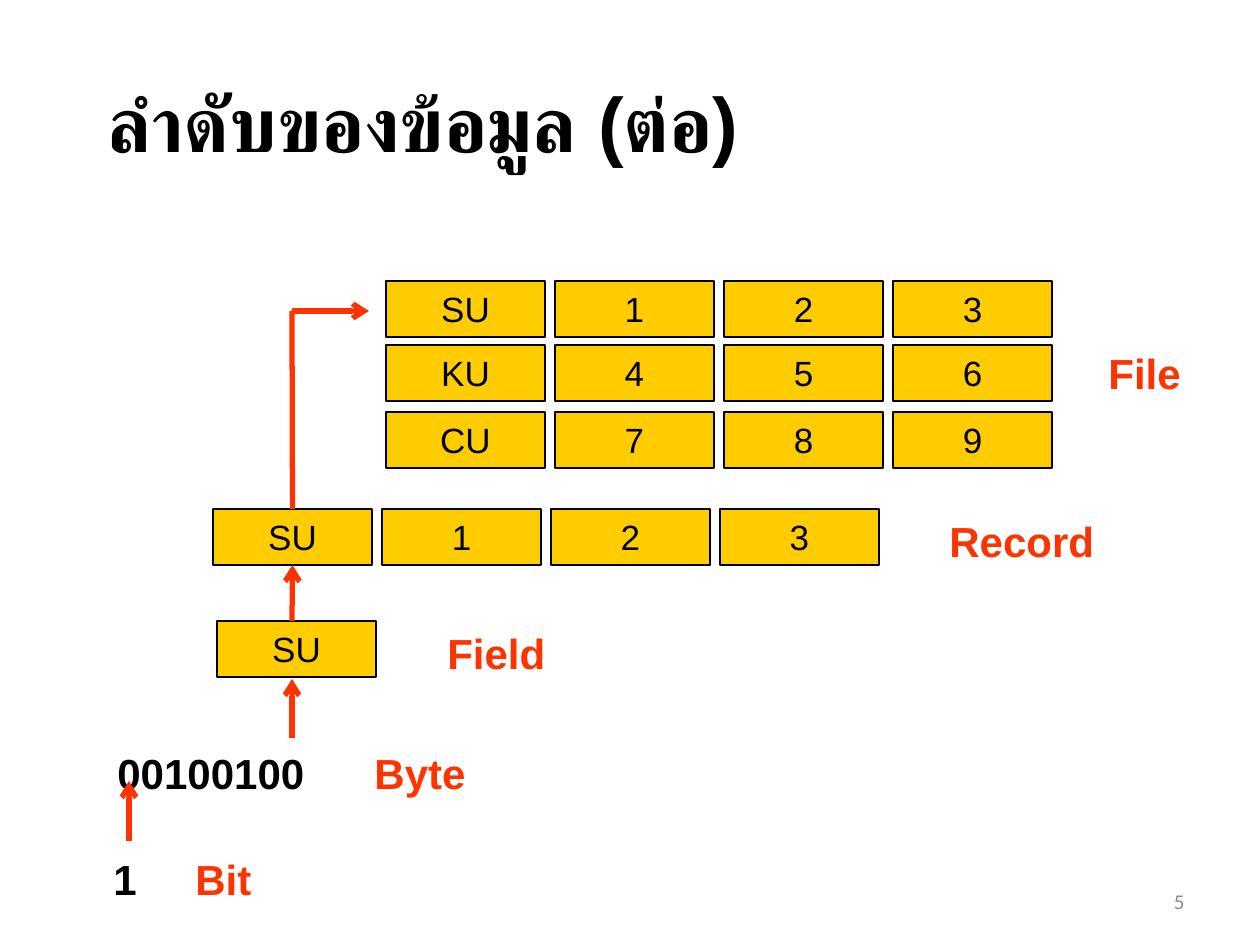
from lxml import etree
from pptx import Presentation
from pptx import util as u
from pptx.dml.color import RGBColor
from pptx.enum import shapes, text
from pptx.oxml.ns import qn

PX = 914400 / 126
BLACK = RGBColor(0x00, 0x00, 0x00)
RED = RGBColor(0xFF, 0x33, 0x00)
GOLD = RGBColor(0xFF, 0xCC, 0x00)
GREY = RGBColor(0x8C, 0x8C, 0x8C)
CELL_W, CELL_H, PITCH = 159, 56, 169
FILE = (("SU", "1", "2", "3"), ("KU", "4", "5", "6"), ("CU", "7", "8", "9"))
FILE_TOPS = (0, 64, 131)


def emu(*nums):
    """Turn px lengths into EMU."""
    return [round(n * PX) for n in nums]


def style(run, size, color=BLACK, bold=False, face="Arial"):
    """Format one run."""
    font = run.font
    font.name, font.size, font.bold = face, u.Pt(size), bold
    font.color.rgb = color


def title(slide, box):
    """Place and format the title."""
    shape = slide.shapes.title
    shape.left, shape.top, shape.width, shape.height = emu(*box)
    frame = shape.text_frame
    frame.text = "ลำดับของข้อมูล (ต่อ)"
    frame.word_wrap = True
    frame.auto_size = text.MSO_AUTO_SIZE.NONE
    frame.vertical_anchor = text.MSO_ANCHOR.TOP
    para = frame.paragraphs[0]
    para.alignment = text.PP_ALIGN.LEFT
    para.space_before = u.Pt(4.4)
    style(para.runs[0], 44, bold=True)


def label(slide, box, parts, tab=0):
    """Place a bold label whose (words, color) parts are set apart by a tab stop."""
    frame = slide.shapes.add_textbox(*emu(*box)).text_frame
    frame.word_wrap = True
    para = frame.paragraphs[0]
    para.space_before = u.Pt(2.4)
    if tab:
        stops = etree.SubElement(para._p.get_or_add_pPr(), qn("a:tabLst"))
        etree.SubElement(stops, qn("a:tab"), pos=str(emu(tab)[0]), algn="l")
    for words, color in parts:
        run = para.add_run()
        run.text = words
        style(run, 24, color, bold=True)


def cell(slide, left, top, words):
    """Draw one gold data cell."""
    box = emu(left, top, CELL_W, CELL_H)
    shape = slide.shapes.add_shape(shapes.MSO_SHAPE.RECTANGLE, *box)
    shape.shadow.inherit = False
    shape.fill.solid()
    shape.fill.fore_color.rgb = GOLD
    shape.line.color.rgb = BLACK
    shape.line.width = u.Pt(0.75)
    frame = shape.text_frame
    frame.text = words
    frame.vertical_anchor = text.MSO_ANCHOR.TOP
    para = frame.paragraphs[0]
    para.alignment = text.PP_ALIGN.CENTER
    para.space_before = u.Pt(2)
    style(para.runs[0], 20)
    return shape


def record(slide, left, top, row):
    """Draw a row of cells and return them."""
    return [cell(slide, left + i * PITCH, top, words) for i, words in enumerate(row)]


def file(slide, left, top):
    """Draw the records of the file with its label."""
    for dy, row in zip(FILE_TOPS, FILE):
        record(slide, left, top + dy, row)
    label(slide, (left + 710, top + 60, 118, 63), [("File", RED)])


def line(slide, ends, head=True):
    """Draw a red line, with an arrowhead at its end if wanted."""
    link = slide.shapes.add_connector(shapes.MSO_CONNECTOR.STRAIGHT, *emu(*ends))
    link.line.color.rgb = RED
    link.line.width = u.Pt(3)
    if head:
        etree.SubElement(link.line._get_or_add_ln(), qn("a:tailEnd"), type="arrow")
    etree.SubElement(link._element.spPr, qn("a:effectLst"))
    return link


def number(slide, box):
    """Place the slide number."""
    frame = slide.shapes.add_textbox(*emu(*box)).text_frame
    frame.text = "5"
    frame.word_wrap = True
    frame.vertical_anchor = text.MSO_ANCHOR.MIDDLE
    para = frame.paragraphs[0]
    para.alignment = text.PP_ALIGN.RIGHT
    style(para.runs[0], 12, GREY, face="Calibri")


def main():
    """Build and save the slide."""
    deck = Presentation()
    deck.slide_width, deck.slide_height = emu(1260, 945)
    slide = deck.slides.add_slide(deck.slide_layouts[5])
    number(slide, (903, 876, 294, 50))
    title(slide, (95, 69, 1032, 105))
    label(slide, (101, 847, 248, 63), [("1\t", BLACK), ("Bit", RED)], 82)
    label(slide, (105, 741, 446, 63), [("00100100\t", BLACK), ("Byte", RED)], 257)
    cell(slide, 217, 621, "SU")
    label(slide, (435, 621, 139, 63), [("Field", RED)])
    first = record(slide, 213, 509, FILE[0])[0]
    label(slide, (937, 509, 189, 63), [("Record", RED)])
    file(slide, 386, 281)
    line(slide, (129, 841, 129, 781))
    line(slide, (292, 738, 292, 679))
    line(slide, (292, 621, 292, 565)).end_connect(first, 2)
    line(slide, (292, 311, 369, 311))
    line(slide, (292, 509, 292, 311), head=False).begin_connect(first, 0)
    deck.save("out.pptx")


if __name__ == "__main__":
    main()
